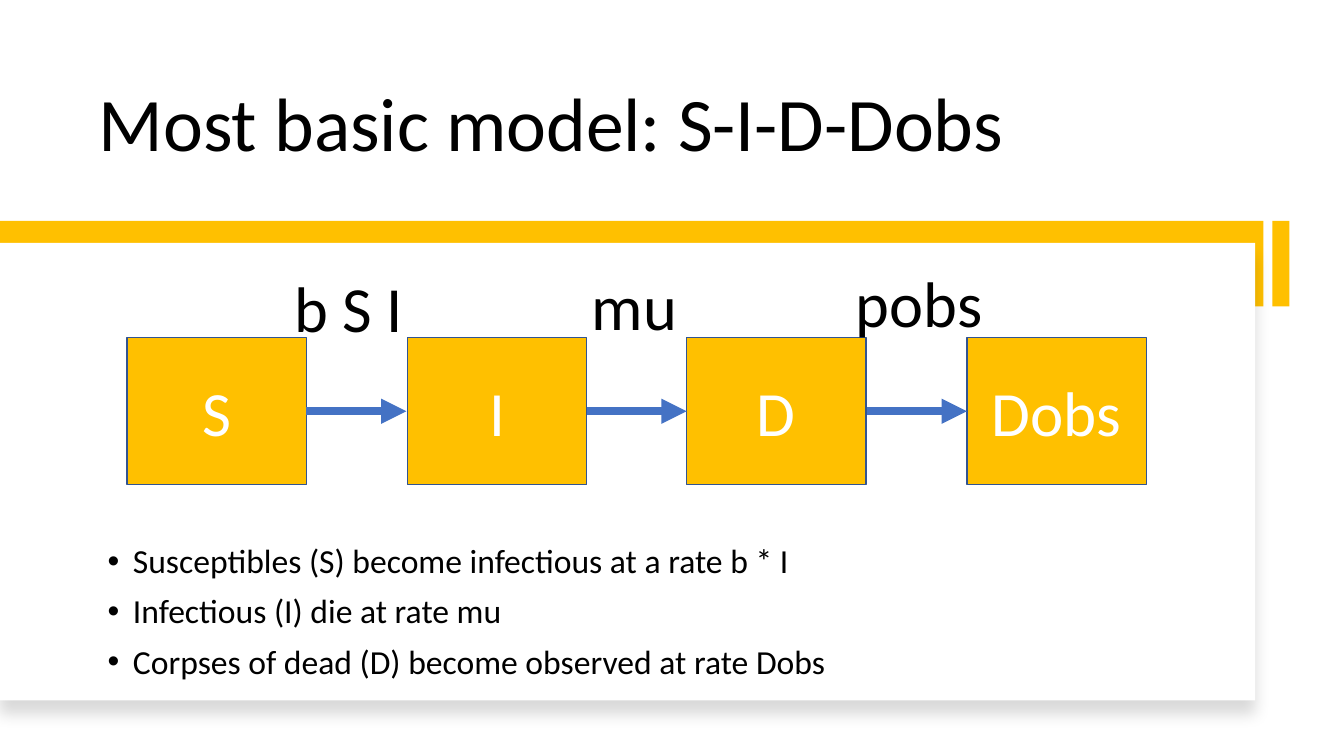
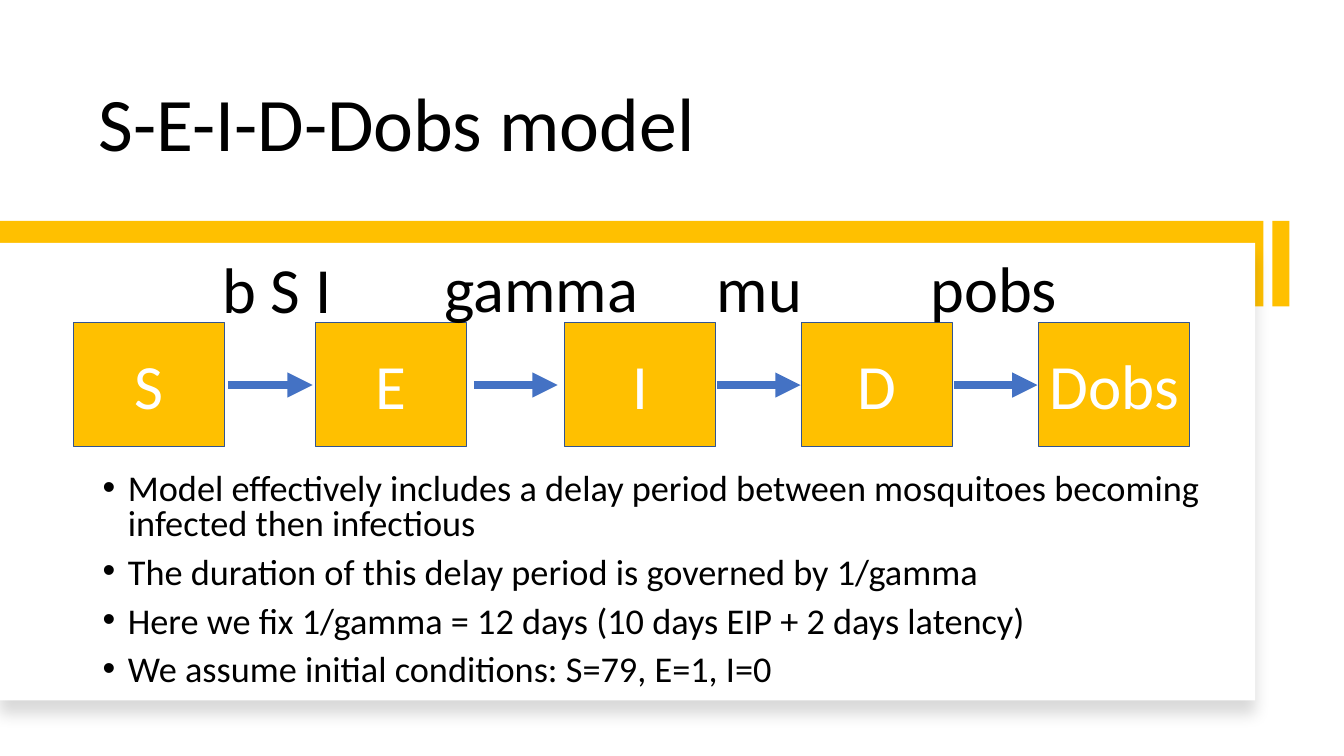
from pptx import Presentation
from pptx.dml.color import RGBColor
from pptx.enum.shapes import MSO_CONNECTOR as Connector, MSO_SHAPE as Preset
from pptx.enum.text import MSO_ANCHOR as Anchor, MSO_AUTO_SIZE as AutoSize, PP_ALIGN as Align
from pptx.oxml.xmlchemy import OxmlElement
from pptx.util import Pt

EMU_PER_PX = 9144
FONT = "Calibri"
COLORS = {
    "gold": "FFC000",
    "panel": "FFFFFF",
    "outline": "325491",
    "arrow": "4472C4",
    "text": "000000",
    "box_text": "FFFFFF",
    "shadow": "000000",
}


def px(*lengths):
    return [round(length) * EMU_PER_PX for length in lengths]


def color(name):
    return RGBColor.from_string(COLORS[name])


def add_xml(parent, tag, **attributes):
    element = OxmlElement(tag)
    for name, value in attributes.items():
        element.set(name, str(value))
    parent.append(element)
    return element


def write_text(frame, lines, size, ink="text", align=Align.LEFT, anchor=Anchor.TOP,
               line_spacing=1.0, space_before=0, bullets=False):
    frame.word_wrap = True
    frame.auto_size = AutoSize.NONE
    frame.vertical_anchor = anchor
    for index, line in enumerate(lines):
        paragraph = frame.add_paragraph() if index else frame.paragraphs[0]
        paragraph.alignment = align
        paragraph.line_spacing = line_spacing
        paragraph.space_before = Pt(space_before)
        run = paragraph.add_run()
        run.text = line
        run.font.name = FONT
        run.font.size = Pt(size)
        run.font.color.rgb = color(ink)
        if bullets:
            properties = paragraph._p.get_or_add_pPr()
            indent = px(25)[0]
            properties.set("marL", str(indent))
            properties.set("indent", str(-indent))
            add_xml(properties, "a:buFont", typeface="Arial")
            add_xml(properties, "a:buChar", char="•")


def add_rectangle(slide, box, fill, outline=None):
    shape = slide.shapes.add_shape(Preset.RECTANGLE, *px(*box))
    shape.shadow.inherit = False
    shape.fill.solid()
    shape.fill.fore_color.rgb = color(fill)
    if outline:
        shape.line.color.rgb = color(outline)
        shape.line.width = Pt(1)
    else:
        shape.line.fill.background()
    return shape


def add_text_box(slide, box, lines, **text_format):
    shape = slide.shapes.add_textbox(*px(*box))
    write_text(shape.text_frame, lines, **text_format)


def add_arrow(slide, left, right, middle):
    arrow = slide.shapes.add_connector(Connector.STRAIGHT, *px(left, middle, right, middle))
    arrow.line.color.rgb = color("arrow")
    arrow.line.width = Pt(6)
    add_xml(arrow.line._get_or_add_ln(), "a:tailEnd", type="triangle")
    add_xml(arrow._element.spPr, "a:effectLst")


def add_panel(slide, box):
    left, top, width, height = box
    band_top = top - 22
    add_rectangle(slide, (left + width + 17, band_top, 17, 85), "gold")
    add_rectangle(slide, (left, band_top, width + 8, 85), "gold")
    panel = add_rectangle(slide, box, "panel")
    effects = panel._element.spPr.find(OxmlElement("a:effectLst").tag)
    shadow = add_xml(effects, "a:outerShdw", blurRad=Pt(11), dist=Pt(10),
                     dir=90 * 60000, algn="t", rotWithShape=0)
    shade = add_xml(shadow, "a:srgbClr", val=COLORS["shadow"])
    add_xml(shade, "a:alpha", val=15000)


def add_frame(presentation, title):
    slide = presentation.slides.add_slide(presentation.slide_layouts[5])
    heading = slide.shapes.title
    heading.left, heading.top, heading.width, heading.height = px(88, 42, 1010, 130)
    write_text(heading.text_frame, [title], size=54, anchor=Anchor.BOTTOM, line_spacing=0.9)
    add_panel(slide, (0, 241, 1245, 454))
    return slide


def add_flow(slide, origin, box_size, states, arrow_length, rates):
    left, top = origin
    width, height = box_size
    for name, offset in states:
        box = add_rectangle(slide, (left + offset, top, width, height), "gold", "outline")
        write_text(box.text_frame, [name], size=45, ink="box_text",
                   align=Align.CENTER, anchor=Anchor.MIDDLE)
    offsets = [offset for _, offset in states]
    for offset, following in zip(offsets, offsets[1:]):
        center = left + (offset + width + following) / 2
        add_arrow(slide, center - arrow_length / 2, center + arrow_length / 2, top + height / 2)
    for rate, offset, rise in rates:
        add_text_box(slide, (left + offset, top - rise, 232, 88), [rate], size=46)


def add_basic_model(presentation):
    slide = add_frame(presentation, "Most basic model: S-I-D-Dobs")
    names = ["S", "I", "D", "Dobs"]
    states = [(name, 277.67 * index) for index, name in enumerate(names)]
    rates = [("b S I", 156, 74), ("mu", 451, 76), ("pobs", 713, 79)]
    add_flow(slide, (126, 335), (178, 146), states, 99, rates)
    add_text_box(slide, (97, 420, 1109, 376), [
        "Susceptibles (S) become infectious at a rate b * I",
        "Infectious (I) die at rate mu",
        "Corpses of dead (D) become observed at rate Dobs",
    ], size=24, anchor=Anchor.MIDDLE, line_spacing=0.9, space_before=10, bullets=True)


def add_delay_model(presentation):
    slide = add_frame(presentation, "S-E-I-D-Dobs model")
    states = [("S", 0), ("E", 240), ("I", 487), ("D", 722), ("Dobs", 957)]
    rates = [("b S I", 138, 78), ("gamma", 358, 79), ("mu", 628, 79), ("pobs", 840, 79)]
    add_flow(slide, (73, 320), (150, 123), states, 83, rates)
    add_text_box(slide, (92, 465, 1150, 237), [
        "Model effectively includes a delay period between mosquitoes becoming "
        "infected then infectious",
        "The duration of this delay period is governed by 1/gamma",
        "Here we fix 1/gamma = 12 days (10 days EIP + 2 days latency)",
        "We assume initial conditions: S=79, E=1, I=0",
    ], size=25.9, line_spacing=0.8, space_before=10, bullets=True)


def main():
    presentation = Presentation()
    presentation.slide_width, presentation.slide_height = px(1333, 750)
    add_basic_model(presentation)
    add_delay_model(presentation)
    presentation.save("out.pptx")


if __name__ == "__main__":
    main()
